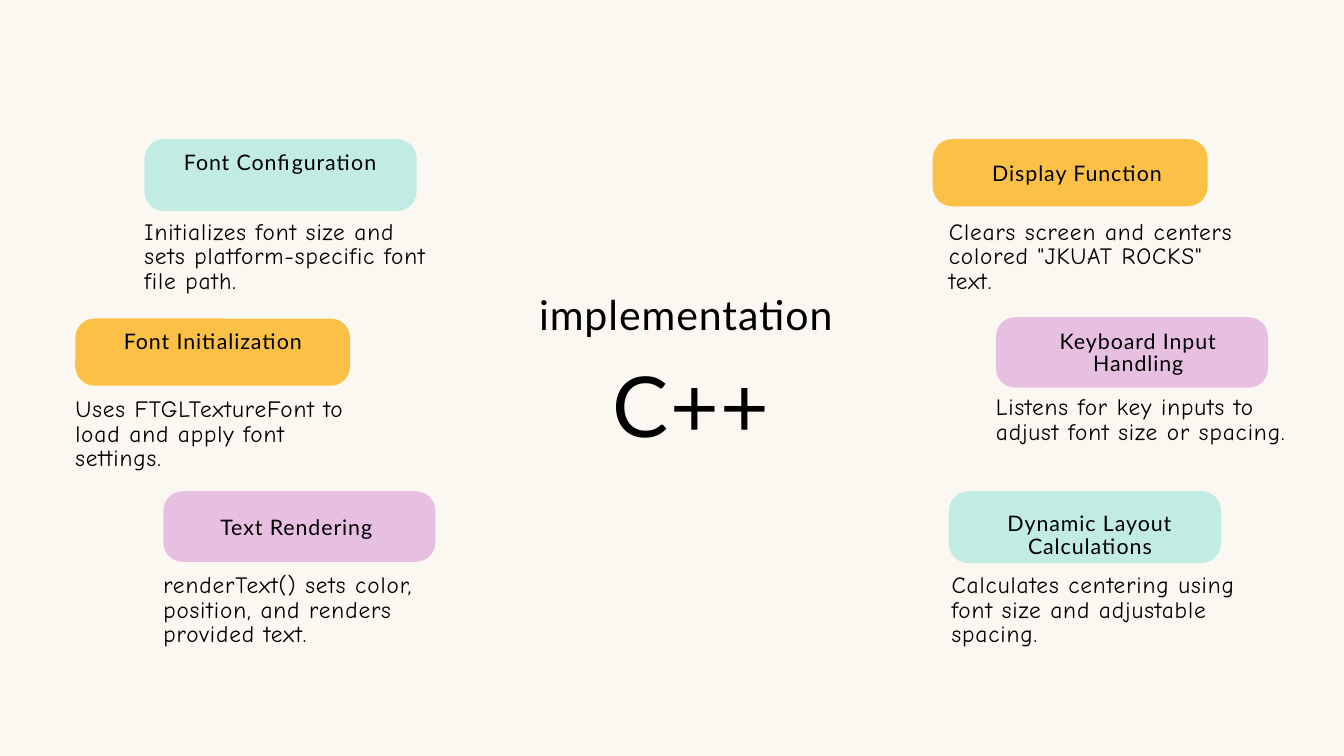
from pptx import Presentation
from pptx.dml.color import RGBColor
from pptx.enum.shapes import MSO_SHAPE
from pptx.enum.text import MSO_ANCHOR, MSO_AUTO_SIZE, PP_ALIGN
from pptx.util import Inches, Pt

COLORS = {"paper": "FBF7F1", "ink": "000000", "mint": "C2EBE3",
          "amber": "FBC046", "lilac": "E6BFE1"}
PILL_SIZES = {"mint": (4.05, 1.07), "amber": (4.09, 1.0), "lilac": (4.05, 1.05)}
CORNER_RADIUS = 0.29

# size, line spacing, letter spacing (points), font, alignment
STYLES = {
    "title": (44, 43.6, 1, "Lato", PP_ALIGN.CENTER),
    "language": (90, 89.1, 2, "Lato", PP_ALIGN.CENTER),
    "label": (22.9, 24.1, 1, "Lato", PP_ALIGN.CENTER),
    "detail": (25, 26.2, 1, "Comic Neue", PP_ALIGN.LEFT),
}
LABEL_SIZE = (3.38, 0.69)
DETAIL_SIZE = (4.38, 0.74)

# colour, pill corner, label, label corner, detail, detail corner
TOPICS = [
    ("mint", (2.15, 2.07), "Font Configuration", (2.48, 2.27),
     "Initializes font size and sets platform-specific font file path.", (2.15, 3.28)),
    ("amber", (1.12, 4.74), "Font Initialization", (1.48, 4.93),
     "Uses FTGLTextureFont to load and apply font settings.", (1.12, 5.92)),
    ("lilac", (2.43, 7.31), "Text Rendering", (2.72, 7.7),
     "renderText() sets color, position, and renders provided text.", (2.43, 8.54)),
    ("amber", (13.88, 2.07), "Display Function", (14.34, 2.43),
     'Clears screen and centers colored "JKUAT ROCKS" text.', (14.12, 3.28)),
    ("lilac", (14.82, 4.72), "Keyboard Input Handling", (15.25, 4.93),
     "Listens for key inputs to adjust font size or spacing.", (14.82, 5.89)),
    ("mint", (14.12, 7.31), "Dynamic Layout Calculations", (14.53, 7.64),
     "Calculates centering using font size and adjustable spacing.", (14.16, 8.54)),
]


def color(name):
    return RGBColor.from_string(COLORS[name])


def write(box, text, style):
    size, line_spacing, letter_spacing, font_name, alignment = STYLES[style]
    frame = box.text_frame
    frame.text = text
    frame.word_wrap = True
    frame.auto_size = MSO_AUTO_SIZE.NONE
    frame.vertical_anchor = MSO_ANCHOR.TOP
    frame.margin_left = frame.margin_right = 0
    frame.margin_top = frame.margin_bottom = 0
    para = frame.paragraphs[0]
    para.alignment = alignment
    para.line_spacing = Pt(line_spacing)
    para.space_before = Pt(0)
    span = para.runs[0]
    span.font.name = font_name
    span.font.size = Pt(size)
    span.font.color.rgb = color("ink")
    span._r.get_or_add_rPr().set("spc", str(letter_spacing * 100))


def add_text(page, text, style, corner, size):
    box = page.shapes.add_textbox(*map(Inches, corner + size))
    write(box, text, style)


def add_pill(page, fill, corner):
    size = PILL_SIZES[fill]
    pill = page.shapes.add_shape(MSO_SHAPE.ROUNDED_RECTANGLE,
                                 *map(Inches, corner + size))
    pill.adjustments[0] = CORNER_RADIUS / size[1]
    pill.shadow.inherit = False
    pill.fill.solid()
    pill.fill.fore_color.rgb = color(fill)
    pill.line.fill.background()


def main():
    deck = Presentation()
    deck.slide_width, deck.slide_height = Inches(20), Inches(11.25)
    page = deck.slides.add_slide(deck.slide_layouts[5])
    page.background.fill.solid()
    page.background.fill.fore_color.rgb = color("paper")

    title = page.shapes.title
    title.left, title.top = Inches(7.23), Inches(4.44)
    title.width, title.height = Inches(5.96), Inches(0.63)
    write(title, "implementation", "title")
    add_text(page, "C++", "language", (7.76, 5.52), (5.04, 1.3))

    for fill, pill_at, label, label_at, detail, detail_at in TOPICS:
        add_pill(page, fill, pill_at)
        add_text(page, label, "label", label_at, LABEL_SIZE)
        add_text(page, detail, "detail", detail_at, DETAIL_SIZE)

    deck.save("out.pptx")


if __name__ == "__main__":
    main()
